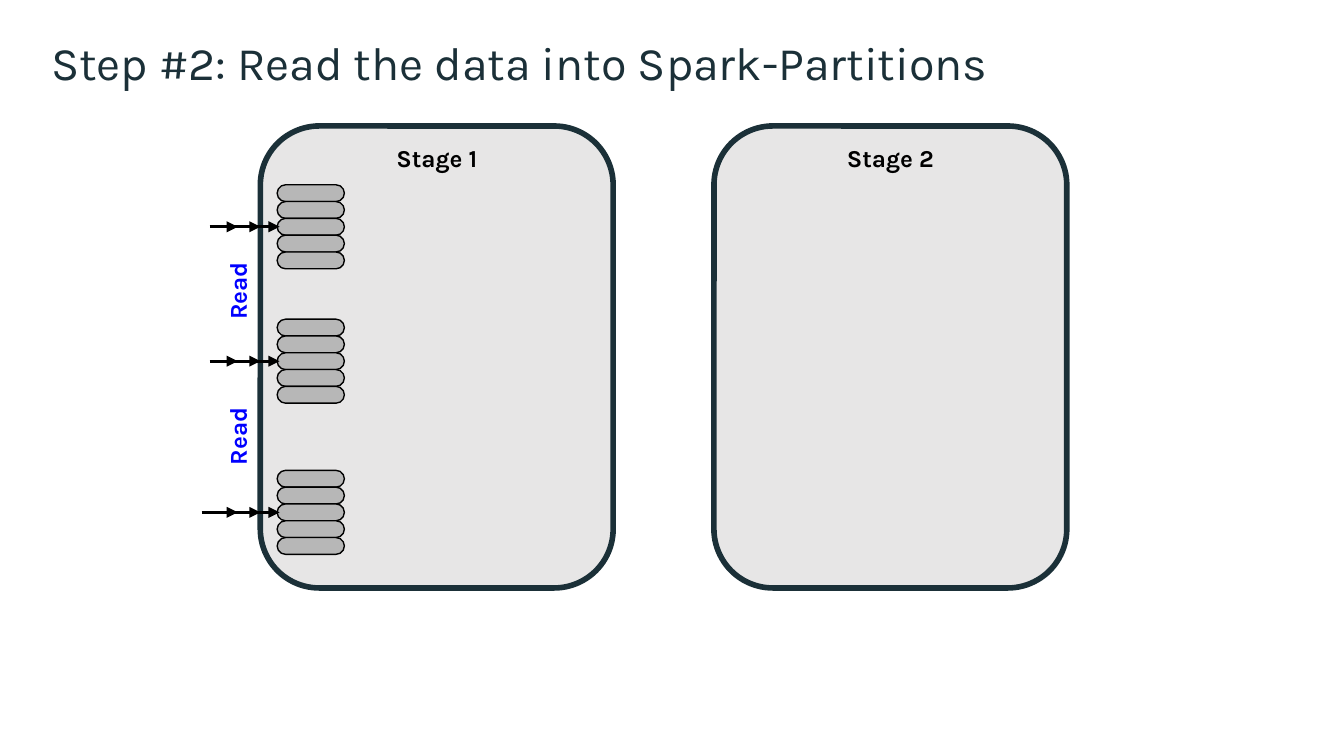
from dataclasses import dataclass

from lxml.etree import SubElement
from pptx import Presentation
from pptx.dml.color import RGBColor
from pptx.enum.shapes import MSO_CONNECTOR as Connector, MSO_SHAPE as Shape
from pptx.enum.text import MSO_ANCHOR as Anchor, PP_ALIGN as Align
from pptx.oxml.ns import qn
from pptx.util import Pt


@dataclass(frozen=True)
class Theme:
    font: str = "Karla"
    navy: str = "1B3038"
    black: str = "000000"
    blue: str = "0000FF"
    panel: str = "E7E6E6"
    partition: str = "B7B7B7"
    title_size: float = 25
    label_size: float = 13


@dataclass(frozen=True)
class Box:
    left: float
    top: float
    width: float
    height: float


@dataclass(frozen=True)
class Label:
    text: str
    box: Box
    color: str
    size: float = Theme.label_size
    bold: bool = True
    align: Align = Align.CENTER
    anchor: Anchor = Anchor.MIDDLE
    margins: tuple[float, float] = (0, 0)  # horizontal, vertical
    line_spacing: float = 1.0
    rotation: float = 0


@dataclass(frozen=True)
class PartitionStack:
    top: float
    arrow_start: float  # left end of the longest read arrow


THEME = Theme()
STAGE_LEFTS = (139.5, 382.5)
STAGE_TOP, STAGE_WIDTH, STAGE_HEIGHT = 67.5, 189, 247.5
STACKS = (
    PartitionStack(99, 118.8),
    PartitionStack(171, 118.8),
    PartitionStack(252, 108),
)
STACK_LEFT, PARTITIONS = 148.5, 5
PARTITION_WIDTH, PARTITION_HEIGHT = 36, 9
READ_TOPS = (146.9, 224.9)


def draw_round_box(slide, box: Box, corner: float, fill: str,
                   line: str, line_width: float) -> None:
    shape = slide.shapes.add_shape(
        Shape.ROUNDED_RECTANGLE,
        Pt(box.left), Pt(box.top), Pt(box.width), Pt(box.height))
    shape.adjustments[0] = corner
    shape.shadow.inherit = False
    shape.fill.solid()
    shape.fill.fore_color.rgb = RGBColor.from_string(fill)
    shape.line.color.rgb = RGBColor.from_string(line)
    shape.line.width = Pt(line_width)


def draw_label(slide, label: Label) -> None:
    box = label.box
    shape = slide.shapes.add_textbox(
        Pt(box.left), Pt(box.top), Pt(box.width), Pt(box.height))
    shape.rotation = label.rotation
    frame = shape.text_frame
    frame.word_wrap = True
    frame.vertical_anchor = label.anchor
    horizontal, vertical = label.margins
    frame.margin_left = frame.margin_right = Pt(horizontal)
    frame.margin_top = frame.margin_bottom = Pt(vertical)
    paragraph = frame.paragraphs[0]
    paragraph.text = label.text
    paragraph.alignment = label.align
    paragraph.line_spacing = label.line_spacing
    font = paragraph.font
    font.name, font.size, font.bold = THEME.font, Pt(label.size), label.bold
    font.color.rgb = RGBColor.from_string(label.color)


def draw_arrow(slide, start: float, end: float, y: float) -> None:
    arrow = slide.shapes.add_connector(
        Connector.STRAIGHT, Pt(start), Pt(y), Pt(end), Pt(y))
    arrow.line.color.rgb = RGBColor.from_string(THEME.black)
    arrow.line.width = Pt(1.5)
    SubElement(arrow.line._get_or_add_ln(), qn("a:tailEnd"), type="triangle")
    SubElement(arrow._element.spPr, qn("a:effectLst"))


def draw_stack(slide, stack: PartitionStack) -> None:
    for index in range(PARTITIONS):
        box = Box(STACK_LEFT, stack.top + index * PARTITION_HEIGHT,
                  PARTITION_WIDTH, PARTITION_HEIGHT)
        draw_round_box(slide, box, 0.5, THEME.partition, THEME.black, 0.75)
    middle = stack.top + PARTITIONS * PARTITION_HEIGHT / 2
    for start, end in ((113.8, 139.5), (112.3, 127.4),
                       (stack.arrow_start, 149.8)):
        draw_arrow(slide, start, end, middle)


def main() -> None:
    presentation = Presentation()
    presentation.slide_width, presentation.slide_height = Pt(720), Pt(405)
    slide = presentation.slides.add_slide(presentation.slide_layouts[6])

    # Title
    draw_label(slide, Label(
        "Step #2: Read the data into Spark-Partitions",
        Box(27.4, 21.6, 665.2, 26.6), THEME.navy, THEME.title_size,
        bold=False, align=Align.LEFT, margins=(0, 2.9), line_spacing=0.9))

    # Stages
    for number, left in enumerate(STAGE_LEFTS, start=1):
        draw_round_box(slide, Box(left, STAGE_TOP, STAGE_WIDTH, STAGE_HEIGHT),
                       0.167, THEME.panel, THEME.navy, 3)
        draw_label(slide, Label(
            f"Stage {number}", Box(left, 72, STAGE_WIDTH, 22.5), THEME.black,
            anchor=Anchor.TOP, margins=(5, 5)))

    # Partitions with their read arrows
    for stack in STACKS:
        draw_stack(slide, stack)

    # Read labels, turned to run upwards
    for top in READ_TOPS:
        draw_label(slide, Label(
            "Read", Box(105.1, top, 48.2, 18), THEME.blue,
            line_spacing=0.65, rotation=270))

    presentation.save("out.pptx")


if __name__ == "__main__":
    main()
